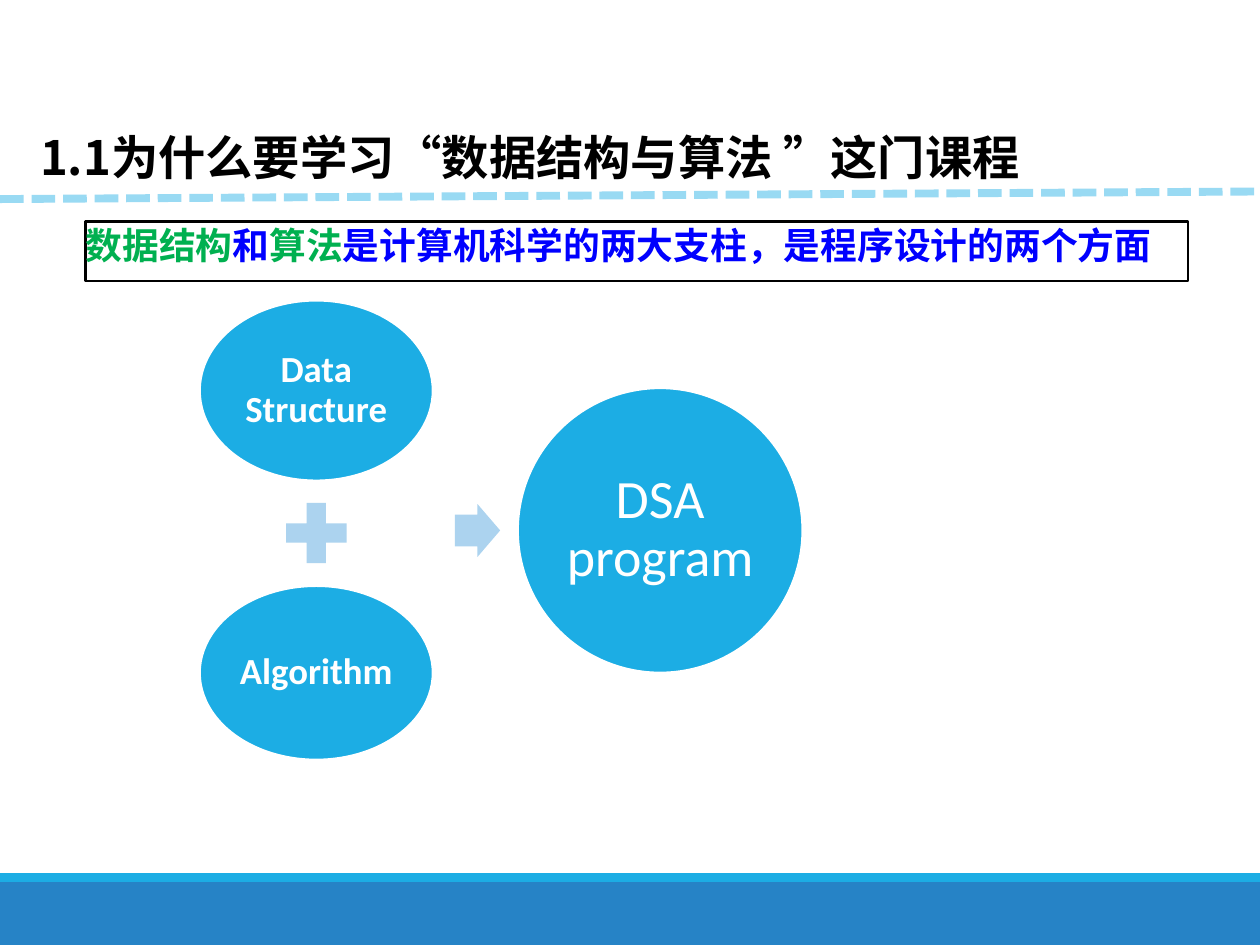
from pptx import Presentation
from pptx.dml.color import RGBColor
from pptx.enum.dml import MSO_LINE
from pptx.enum.shapes import MSO_CONNECTOR, MSO_SHAPE
from pptx.enum.text import MSO_ANCHOR, PP_ALIGN
from pptx.oxml.ns import qn
from pptx.util import Inches, Pt
from lxml.etree import SubElement

COLS, ROWS = 10, 7.5
CELL = Inches(1)
HAN, LATIN = "Noto Sans CJK SC", "Calibri"
SKY, PALE, WHITE = "1CADE4", "ACD3EF", "FFFFFF"
GREEN, BLUE = "00B050", "0000FF"


def grid(*cells):
    """Turn counts of grid cells into lengths."""
    return [round(n * CELL) for n in cells]


def paint(color, tint):
    """Set a colour from a hex string."""
    color.rgb = RGBColor.from_string(tint)


def add_run(para, text, size, tint, face, bold=True):
    """Add one styled run to a paragraph."""
    run = para.add_run()
    run.text = text
    font = run.font
    font.size, font.bold, font.name = Pt(size), bold, face
    paint(font.color, tint)
    SubElement(font._element, qn("a:ea")).set("typeface", face)


def add_block(slide, kind, box, tint, edge=None):
    """Add a filled preset shape, outlined if an edge is given."""
    shape = slide.shapes.add_shape(kind, *grid(*box))
    shape.shadow.inherit = False
    shape.fill.solid()
    paint(shape.fill.fore_color, tint)
    if edge:
        paint(shape.line.color, edge)
        shape.line.width = Pt(1.25)
    else:
        shape.line.fill.background()
    return shape


def add_node(slide, mid, size, words, points, bold=True):
    """Add an ellipse around a centre, with one word a line."""
    box = [m - s / 2 for m, s in zip(mid, size)] + list(size)
    frame = add_block(slide, MSO_SHAPE.OVAL, box, SKY, WHITE).text_frame
    frame.margin_left = frame.margin_right = 0
    frame.margin_top = frame.margin_bottom = 0
    frame.vertical_anchor = MSO_ANCHOR.MIDDLE
    for i, word in enumerate(words):
        para = frame.add_paragraph() if i else frame.paragraphs[0]
        para.alignment = PP_ALIGN.CENTER
        para.line_spacing = 0.9
        add_run(para, word, points, WHITE, LATIN, bold)


def add_text(slide, box, runs, size):
    """Add a one-paragraph text box from pairs of text and colour."""
    shape = slide.shapes.add_textbox(*grid(*box))
    shape.text_frame.word_wrap = True
    for text, tint in runs:
        add_run(shape.text_frame.paragraphs[0], text, size, tint, HAN)
    return shape


def add_rule(slide, start, end):
    """Add the dashed line below the title."""
    rule = slide.shapes.add_connector(
        MSO_CONNECTOR.STRAIGHT, *grid(*start, *end))
    paint(rule.line.color, "99DAF3")
    rule.line.width = Pt(4.5)
    rule.line.dash_style = MSO_LINE.SQUARE_DOT
    rule.line._ln.find(qn("a:prstDash")).set("val", "sysDash")
    SubElement(rule._element.spPr, qn("a:effectLst"))


def add_claim(slide):
    """Add the framed key sentence."""
    claim = add_text(slide, (0.68, 1.76, 8.75, 0.47), [
        ("数据结构", GREEN), ("和", BLUE), ("算法", GREEN),
        ("是计算机科学的两大支柱，是程序设计的两个方面", BLUE)], 21)
    claim.text_frame.margin_left = claim.text_frame.margin_right = 0
    claim.text_frame.paragraphs[0].line_spacing = 0.9
    paint(claim.line.color, "000000")
    claim.line.width = Pt(1.5)


def add_sum(slide):
    """Add the two parts, their signs and the result."""
    axis = 2.51
    add_node(slide, (axis, 3.1), (1.85, 1.43), ["Data", "Structure"], 21)
    plus = add_block(slide, MSO_SHAPE.CROSS,
                     (axis - 0.24, 3.99, 0.48, 0.48), PALE)
    plus.adjustments[0] = 0.34
    add_node(slide, (axis, 5.34), (1.85, 1.38), ["Algorithm"], 21)
    arrow = add_block(slide, MSO_SHAPE.RIGHT_ARROW,
                      (3.61, 4, 0.36, 0.42), PALE)
    arrow.adjustments[0], arrow.adjustments[1] = 0.6, 0.5
    add_node(slide, (5.24, 4.21), (2.26, 2.26),
             ["DSA", "program"], 30.8, False)


def main():
    """Build and save the slide."""
    deck = Presentation()
    deck.slide_width, deck.slide_height = grid(COLS, ROWS)
    slide = deck.slides.add_slide(deck.slide_layouts[6])
    add_block(slide, MSO_SHAPE.RECTANGLE, (0, 7, COLS, 0.5), "2683C6")
    add_block(slide, MSO_SHAPE.RECTANGLE, (0, 6.93, COLS, 0.07), SKY)
    add_claim(slide)
    add_sum(slide)
    add_rule(slide, (0, 1.58), (COLS, 1.52))
    title = add_text(slide, (0.22, 0.97, 8.27, 0.55), [
        ("1.1为什么要学习“数据结构与算法 ”这门课程", "000000")], 27)
    title.text_frame.vertical_anchor = MSO_ANCHOR.MIDDLE
    deck.save("out.pptx")


if __name__ == "__main__":
    main()
